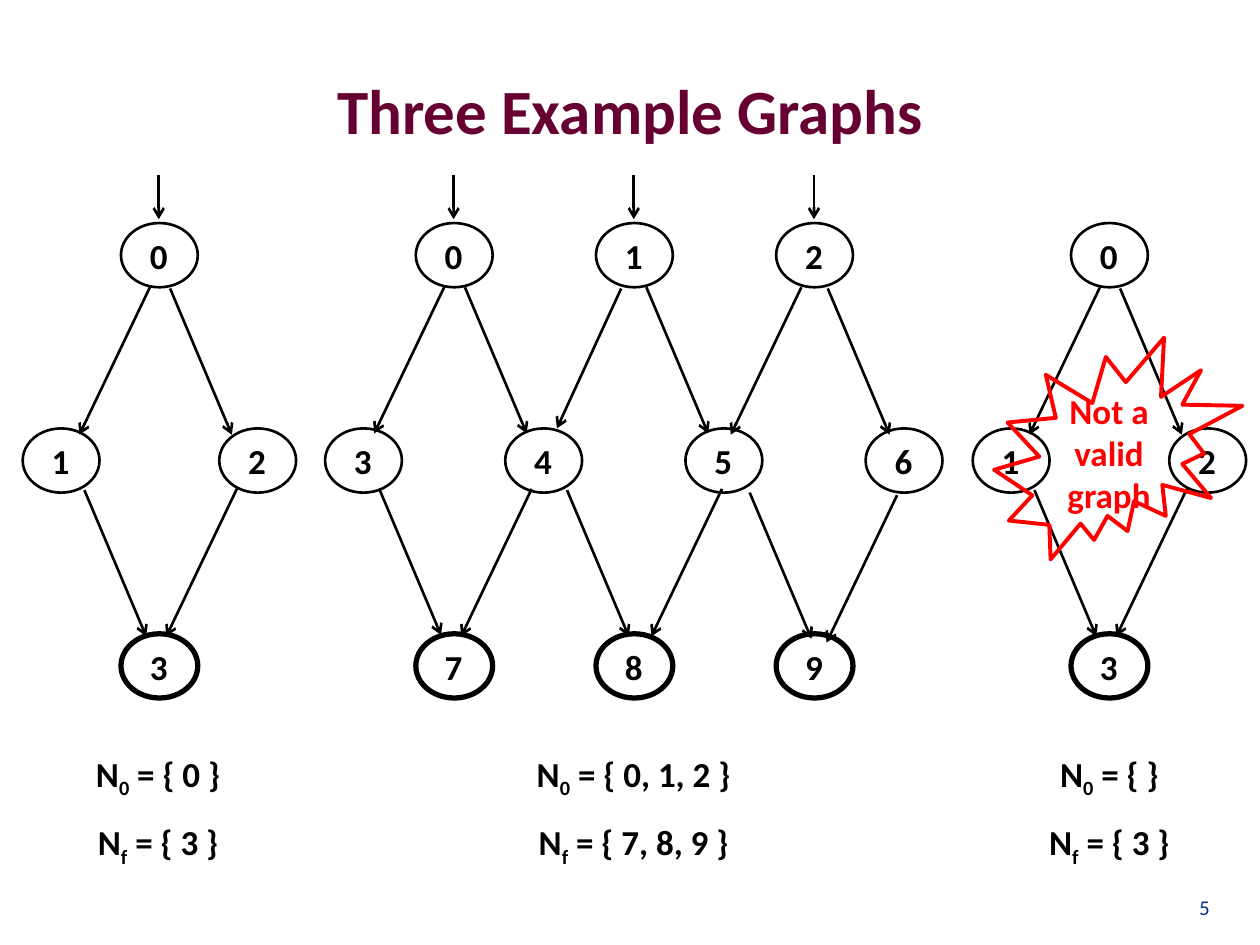
"""Build a slide that compares three example graphs."""
from dataclasses import dataclass

from lxml import etree
from pptx import Presentation
from pptx import util as u
from pptx.dml.color import RGBColor
from pptx.enum import shapes, text
from pptx.oxml.ns import qn

PX = 9144
NODE_W, NODE_H = 61, 51
TOP, MIDDLE, BOTTOM = 177, 340, 503
PITCH = 143
LEFT, RIGHT, SHORT_LEFT = (-56, 117), (49, 116), (-51, 111)


@dataclass(frozen=True)
class Theme:
    """Colours, font and type sizes of the slide."""
    font: str = "Calibri"
    title: str = "660033"
    number: str = "003399"
    ink: str = "000000"
    warning: str = "FF0000"
    title_size: int = 36
    body_size: int = 20
    number_size: int = 12
    thin: float = 1.5
    burst: float = 2.25
    thick: float = 3


THEME = Theme()


def px(*values):
    """Turn px lengths into EMU."""
    return [u.Emu(v * PX) for v in values]


def style(tf, size, color, bold=True, align=text.PP_ALIGN.CENTER):
    """Format every run of a text frame."""
    for p in tf.paragraphs:
        p.alignment = align
        for r in p.runs:
            r.font.name = THEME.font
            r.font.size = u.Pt(size)
            r.font.bold = bold
            r.font.color.rgb = RGBColor.from_string(color)


def add_text(parent, box, content, size, color, wrap=True,
             anchor=text.MSO_ANCHOR.TOP, **look):
    """Add a text box with one style."""
    tf = parent.add_textbox(*px(*box)).text_frame
    tf.word_wrap = wrap
    tf.vertical_anchor = anchor
    tf.text = content
    style(tf, size, color, **look)


def add_outline(parent, kind, box, color, width):
    """Add an unfilled preset shape."""
    sp = parent.add_shape(kind, *px(*box))
    sp.shadow.inherit = False
    sp.fill.background()
    sp.line.color.rgb = RGBColor.from_string(color)
    sp.line.width = u.Pt(width)
    return sp


def add_node(parent, x, y, label):
    """Add a labelled node; final nodes in the bottom row are thick."""
    width = THEME.thick if y == BOTTOM else THEME.thin
    add_outline(parent, shapes.MSO_SHAPE.OVAL, (x, y, NODE_W, NODE_H),
                THEME.ink, width)
    add_text(parent, (x + 13, y + 4, 34, 44), str(label), THEME.body_size,
             THEME.ink, wrap=False)


def add_arrow(parent, x, y, vector):
    """Add an arrow from a point along a vector."""
    dx, dy = vector
    line = parent.add_connector(shapes.MSO_CONNECTOR.STRAIGHT,
                                *px(x, y, x + dx, y + dy))
    line.line.color.rgb = RGBColor.from_string(THEME.ink)
    line.line.width = u.Pt(THEME.thin)
    etree.SubElement(line.line._get_or_add_ln(), qn("a:tailEnd"), type="arrow")
    etree.SubElement(line._element.spPr, qn("a:effectLst"))


def add_entry(parent, x):
    """Add the arrow that marks the initial node at x."""
    add_arrow(parent, x + 30, TOP - 38, (0, 35))


def add_sets(parent, x, width, initial, final):
    """Add the sets of initial and final nodes."""
    tf = parent.add_textbox(*px(x, 592, width, 93)).text_frame
    tf.word_wrap = True
    for i, (sub, members) in enumerate((("0", initial), ("f", final))):
        p = tf.add_paragraph() if i else tf.paragraphs[0]
        if i:
            p.space_before = u.Pt(12)
        for part in ("N", sub, f" = {{ {members}}}"):
            p.add_run().text = part
        p.runs[1]._r.get_or_add_rPr().set("baseline", "-25000")
    style(tf, THEME.body_size, THEME.ink)


def add_diamond(slide_shapes, x, has_entry):
    """Add a four-node graph whose left node starts at x."""
    group = slide_shapes.add_group_shape().shapes
    nodes = ((78, TOP), (0, MIDDLE), (156, MIDDLE), (78, BOTTOM))
    for label, (dx, y) in enumerate(nodes):
        add_node(group, x + dx, y, label)
    for dx, y, vector in ((101, 228, LEFT), (117, 229, RIGHT),
                          (49, 389, RIGHT), (170, 388, LEFT)):
        add_arrow(group, x + dx, y, vector)
    if has_entry:
        add_entry(group, x + 78)


def add_lattice(slide_shapes):
    """Add the ten-node graph with three initial nodes."""
    group = slide_shapes.add_group_shape().shapes
    label = 0
    for x, y, count in ((330, TOP, 3), (258, MIDDLE, 4), (330, BOTTOM, 3)):
        for column in range(count):
            add_node(group, x + column * PITCH, y, label)
            if y == TOP:
                add_entry(group, x + column * PITCH)
            label += 1
    edges = (
        (353, 227, LEFT), (369, 228, RIGHT),
        (493, 229, SHORT_LEFT), (513, 228, RIGHT),
        (636, 228, LEFT), (657, 229, RIGHT),
        (301, 388, RIGHT), (422, 388, LEFT),
        (450, 389, RIGHT), (573, 388, LEFT),
        (595, 391, RIGHT), (712, 393, LEFT),
    )
    for edge in edges:
        add_arrow(group, *edge)


def add_burst(slide_shapes, box, content):
    """Add a warning burst with its text."""
    sp = add_outline(slide_shapes, shapes.MSO_SHAPE.EXPLOSION2, box,
                     THEME.warning, THEME.burst)
    tf = sp.text_frame
    tf.word_wrap = False
    tf.vertical_anchor = text.MSO_ANCHOR.MIDDLE
    tf.text = content
    style(tf, THEME.body_size, THEME.warning)


def main():
    """Build and save the slide."""
    prs = Presentation()
    prs.slide_width, prs.slide_height = px(1000, 750)
    s = prs.slides.add_slide(prs.slide_layouts[6]).shapes
    add_text(s, (50, 24, 900, 125), "Three Example Graphs", THEME.title_size,
             THEME.title, anchor=text.MSO_ANCHOR.MIDDLE)
    add_text(s, (901, 683, 69, 52), "5", THEME.number_size, THEME.number,
             anchor=text.MSO_ANCHOR.BOTTOM, bold=False,
             align=text.PP_ALIGN.RIGHT)
    add_diamond(s, 18, has_entry=True)
    add_sets(s, 46, 159, "0 ", "3 ")
    add_diamond(s, 772, has_entry=False)
    add_sets(s, 801, 159, "", "3 ")
    add_lattice(s)
    add_sets(s, 380, 246, "0, 1, 2 ", "7, 8, 9 ")
    add_burst(s, (789, 268, 197, 176), "Not a\nvalid\ngraph")
    prs.save("out.pptx")


if __name__ == "__main__":
    main()
